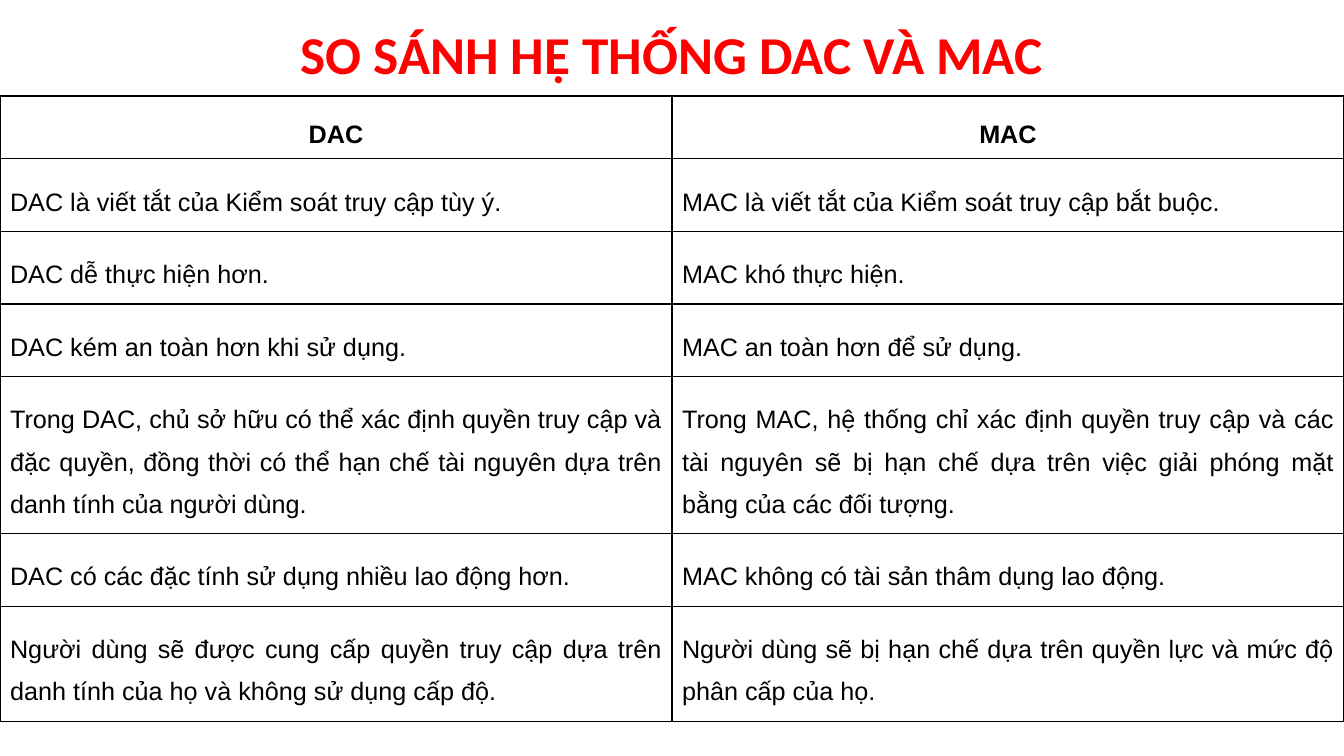
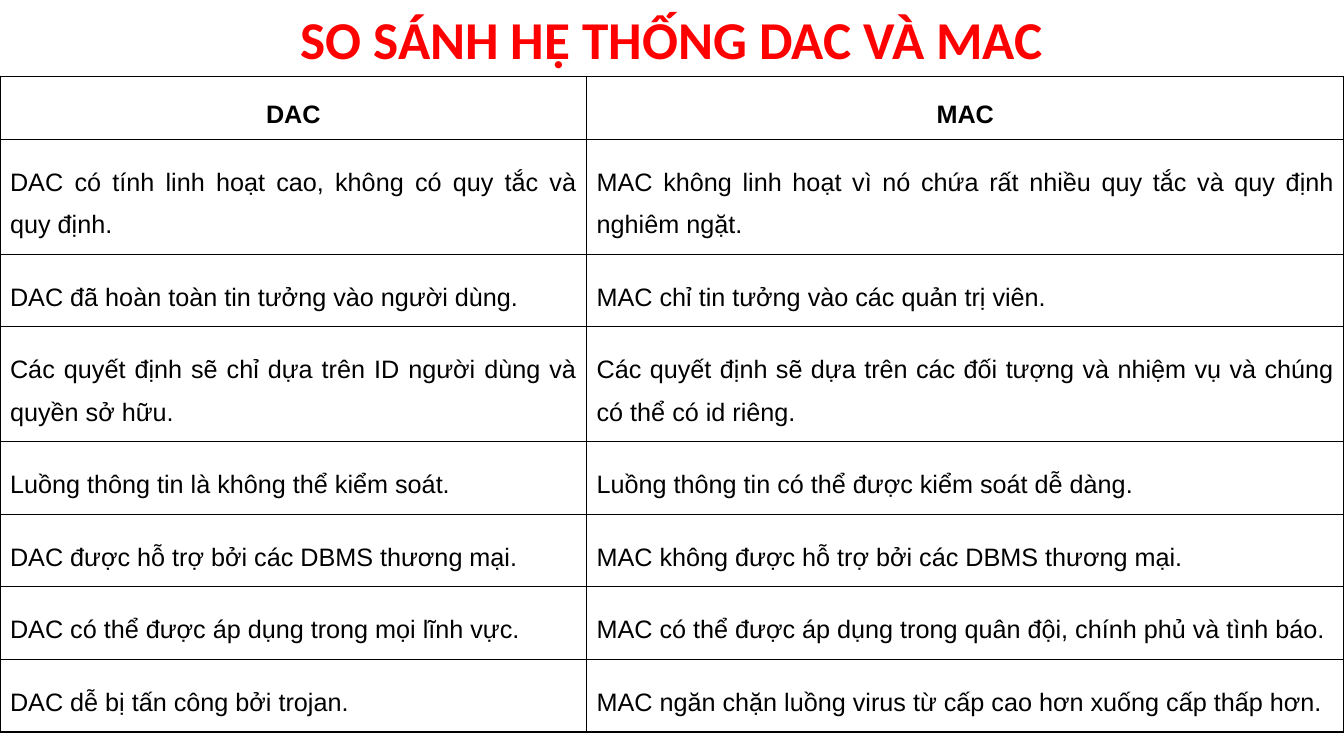
import pptx
import pptx.dml.color
import pptx.enum.text
import pptx.util
from lxml import etree
from pptx.oxml.ns import qn

Pt = pptx.util.Pt
ALIGN = pptx.enum.text.PP_ALIGN
ANCHOR = pptx.enum.text.MSO_ANCHOR
COLORS = {"title": "FF0000", "text": "000000", "border": "000000"}
SLIDE_W, SLIDE_H = 960, 540
TITLE = "SO SÁNH HỆ THỐNG DAC VÀ MAC"
HEADER = ("DAC", "MAC")
HEADER_H, ROW_H, LINE_H = 45, 51, 30

BASICS = [
    ("DAC là viết tắt của Kiểm soát truy cập tùy ý.",
     "MAC là viết tắt của Kiểm soát truy cập bắt buộc.", 1),
    ("DAC dễ thực hiện hơn.", "MAC khó thực hiện.", 1),
    ("DAC kém an toàn hơn khi sử dụng.", "MAC an toàn hơn để sử dụng.", 1),
    ("Trong DAC, chủ sở hữu có thể xác định quyền truy cập và đặc quyền, đồng thời "
     "có thể hạn chế tài nguyên dựa trên danh tính của người dùng.",
     "Trong MAC, hệ thống chỉ xác định quyền truy cập và các tài nguyên sẽ bị hạn chế "
     "dựa trên việc giải phóng mặt bằng của các đối tượng.", 3),
    ("DAC có các đặc tính sử dụng nhiều lao động hơn.",
     "MAC không có tài sản thâm dụng lao động.", 1),
    ("Người dùng sẽ được cung cấp quyền truy cập dựa trên danh tính của họ "
     "và không sử dụng cấp độ.",
     "Người dùng sẽ bị hạn chế dựa trên quyền lực và mức độ phân cấp của họ.", 2),
]
PRACTICE = [
    ("DAC có tính linh hoạt cao, không có quy tắc và quy định.",
     "MAC không linh hoạt vì nó chứa rất nhiều quy tắc và quy định nghiêm ngặt.", 2),
    ("DAC đã hoàn toàn tin tưởng vào người dùng.",
     "MAC chỉ tin tưởng vào các quản trị viên.", 1),
    ("Các quyết định sẽ chỉ dựa trên ID người dùng và quyền sở hữu.",
     "Các quyết định sẽ dựa trên các đối tượng và nhiệm vụ và chúng có thể có id riêng.", 2),
    ("Luồng thông tin là không thể kiểm soát.",
     "Luồng thông tin có thể được kiểm soát dễ dàng.", 1),
    ("DAC được hỗ trợ bởi các DBMS thương mại.",
     "MAC không được hỗ trợ bởi các DBMS thương mại.", 1),
    ("DAC có thể được áp dụng trong mọi lĩnh vực.",
     "MAC có thể được áp dụng trong quân đội, chính phủ và tình báo.", 1),
    ("DAC dễ bị tấn công bởi trojan.",
     "MAC ngăn chặn luồng virus từ cấp cao hơn xuống cấp thấp hơn.", 1),
]


def write(tf, text, *, size=18, font="Arial", color="text", bold=False,
          align=ALIGN.JUSTIFY, spacing=1.5, after=8):
    p = tf.paragraphs[0]
    p.alignment, p.line_spacing, p.space_after = align, spacing, Pt(after)
    r = p.add_run()
    r.text = text
    r.font.size, r.font.name, r.font.bold = Pt(size), font, bold
    r.font.color.rgb = pptx.dml.color.RGBColor.from_string(COLORS[color])


def add_title(s, top, height):
    sp = s.shapes.title
    sp.left, sp.top, sp.width, sp.height = Pt(66), Pt(top), Pt(828), Pt(height)
    tf = sp.text_frame
    tf.word_wrap = True
    tf.auto_size = pptx.enum.text.MSO_AUTO_SIZE.NONE
    tf.vertical_anchor = ANCHOR.MIDDLE
    write(tf, TITLE, size=38, font="Calibri", color="title", bold=True,
          align=ALIGN.CENTER, spacing=0.9, after=0)


def add_borders(cell):
    tcPr = cell._tc.get_or_add_tcPr()
    for side in ("a:lnL", "a:lnR", "a:lnT", "a:lnB"):
        ln = etree.SubElement(tcPr, qn(side), w=str(Pt(1)))
        fill = etree.SubElement(ln, qn("a:solidFill"))
        etree.SubElement(fill, qn("a:srgbClr"), val=COLORS["border"])


def fill_cell(cell, text, is_header):
    cell.margin_left = cell.margin_right = Pt(7.2)
    cell.margin_top = cell.margin_bottom = Pt(7.2 if is_header else 10.8)
    cell.vertical_anchor = ANCHOR.MIDDLE
    add_borders(cell)
    cell.fill.background()
    write(cell.text_frame, text, bold=is_header,
          align=ALIGN.CENTER if is_header else ALIGN.JUSTIFY)


def add_comparison(s, rows, top, split):
    heights = [HEADER_H] + [ROW_H + LINE_H * (lines - 1) for _, _, lines in rows]
    texts = [HEADER] + [row[:2] for row in rows]
    table = s.shapes.add_table(len(texts), 2, 0, Pt(top), Pt(SLIDE_W),
                               Pt(sum(heights))).table
    table.first_row = table.horz_banding = False
    for column, width in zip(table.columns, (split, SLIDE_W - split)):
        column.width = Pt(width)
    for i, (height, pair) in enumerate(zip(heights, texts)):
        table.rows[i].height = Pt(height)
        for j, text in enumerate(pair):
            fill_cell(table.cell(i, j), text, i == 0)


def main():
    prs = pptx.Presentation()
    prs.slide_width, prs.slide_height = Pt(SLIDE_W), Pt(SLIDE_H)
    for rows, title_top, title_height, table_top, split in (
        (BASICS, 13.5, 55, 68.5, 480),
        (PRACTICE, 0, 60.5, 54.5, 419),
    ):
        s = prs.slides.add_slide(prs.slide_layouts.get_by_name("Title Only"))
        add_title(s, title_top, title_height)
        add_comparison(s, rows, table_top, split)
    prs.save("out.pptx")


if __name__ == "__main__":
    main()
